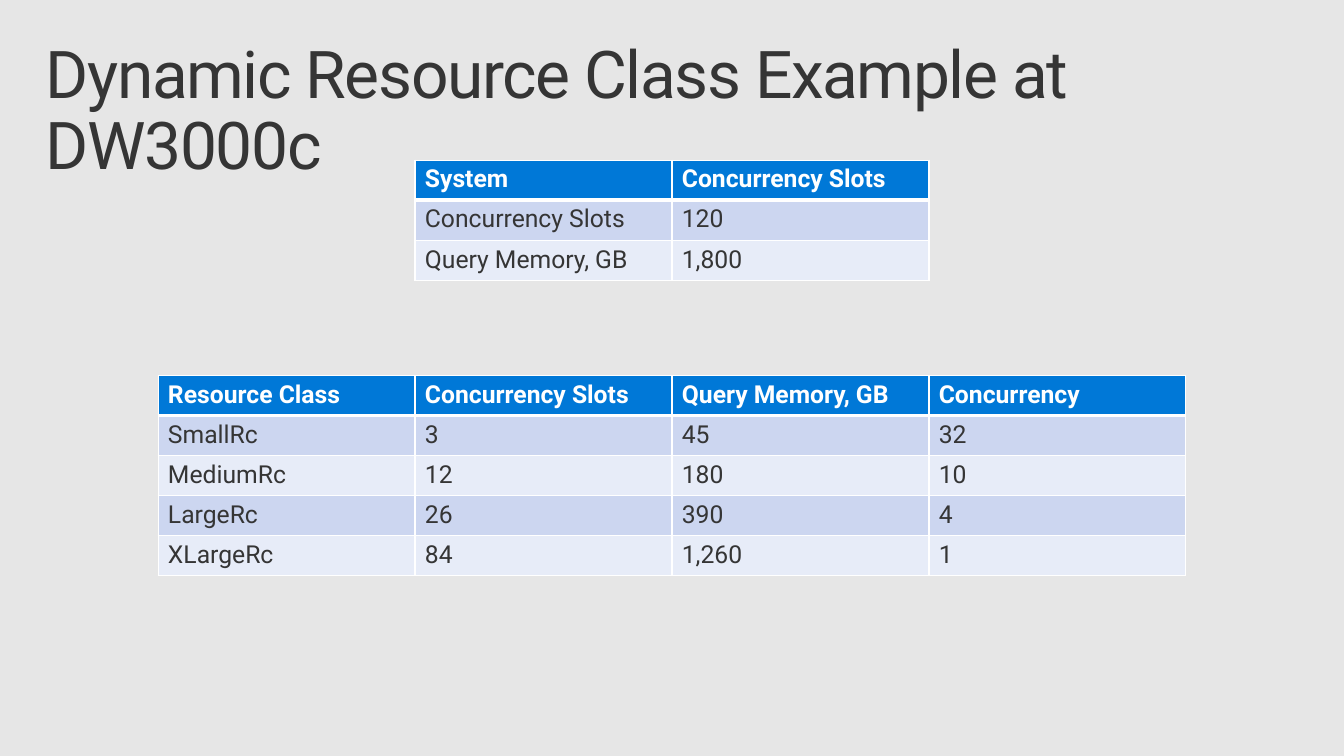
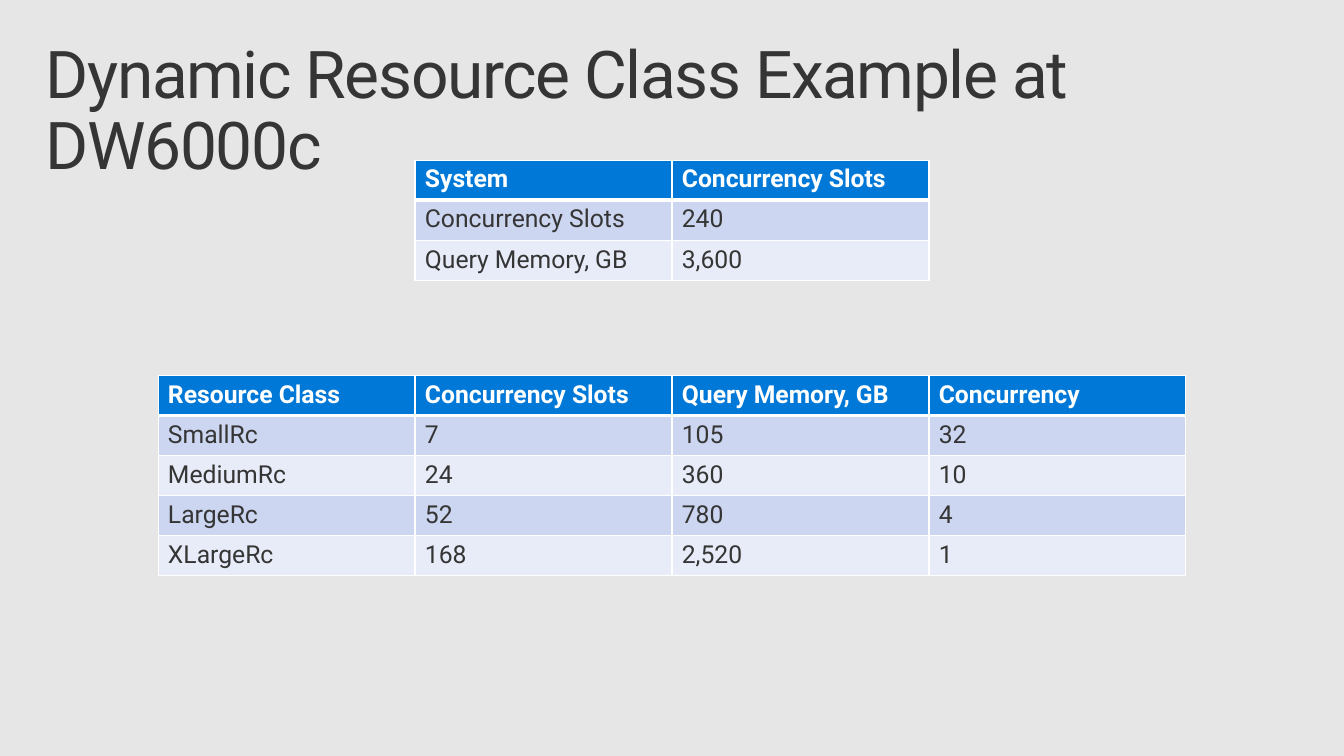
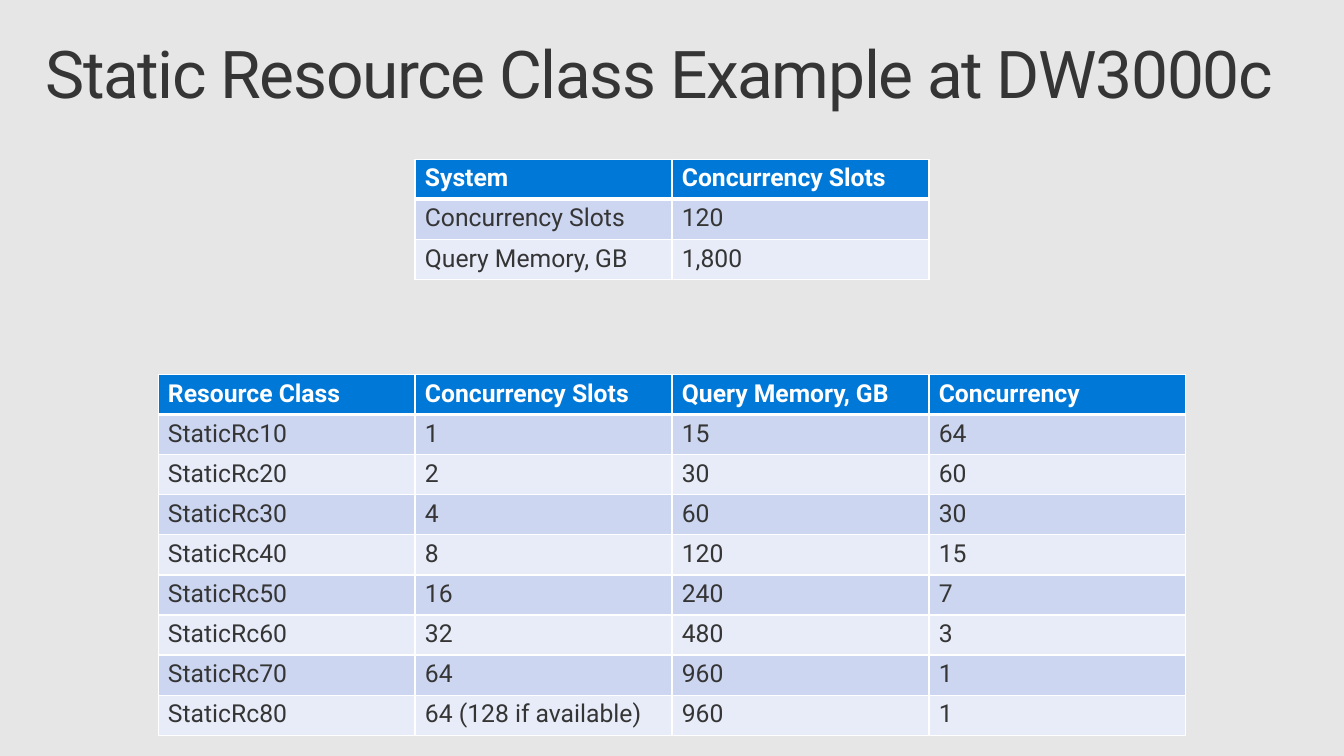
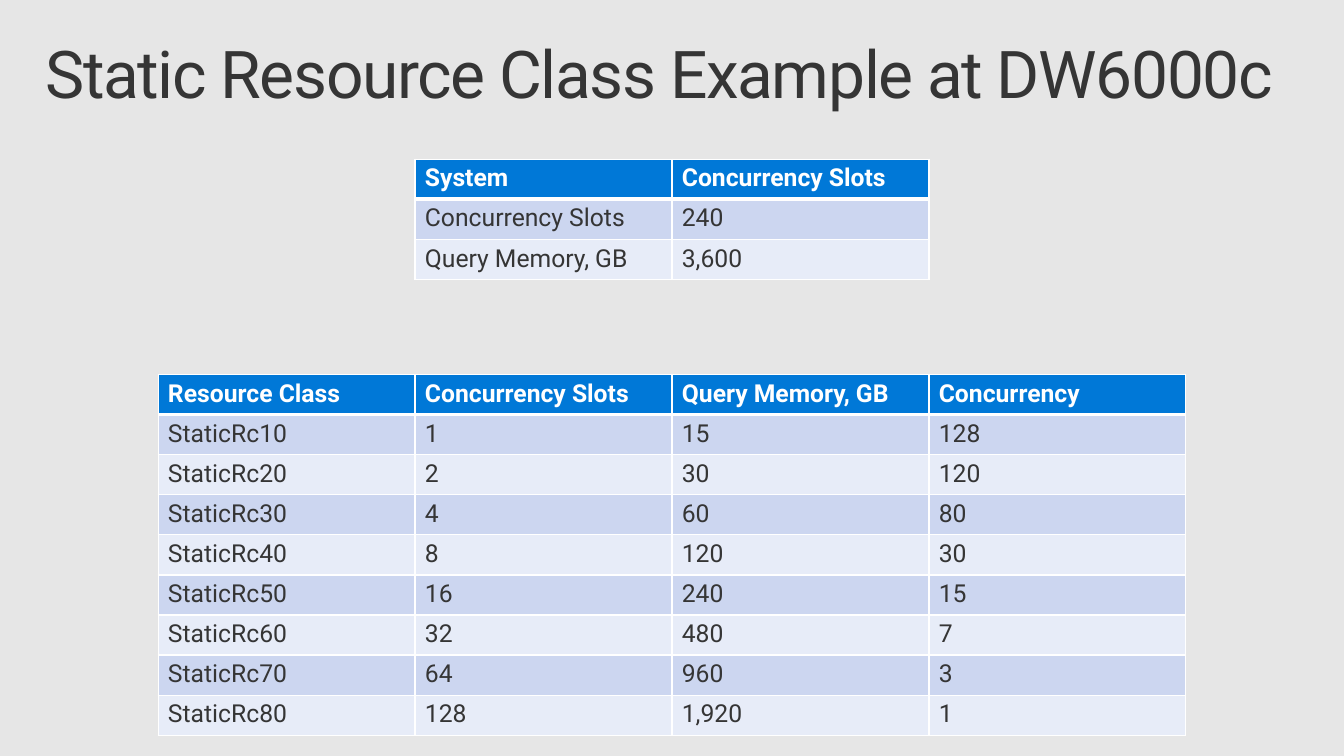
from dataclasses import dataclass

from lxml.etree import SubElement as sub
from pptx import Presentation
from pptx.dml.color import RGBColor as Rgb
from pptx.enum.text import MSO_ANCHOR as Anchor, MSO_AUTO_SIZE as Fit, PP_ALIGN as Align
from pptx.oxml.ns import qn
from pptx.util import Inches, Pt


@dataclass(frozen=True)
class Theme:
    font: str = "Roboto"
    back: str = "E6E6E6"
    ink: str = "353535"
    white: str = "FFFFFF"
    head: str = "0078D7"
    bands: tuple = ("CCD6F0", "E7ECF8")
    title: int = 48
    cell: int = 18
    thin: int = 1
    thick: int = 3


class Deck:
    col = Inches(2.6)
    row = Inches(3.65) // 9

    def __init__(self, theme):
        self.theme = theme
        self.prs = Presentation()
        self.prs.slide_width, self.prs.slide_height = Inches(13.6), Inches(7.65)
        fill = self.prs.slide_master.background.fill
        fill.solid()
        fill.fore_color.rgb = Rgb.from_string(theme.back)
        self.slide = None

    def style(self, par, size, color, bold=False):
        font = par.font
        font.name, font.size, font.bold = self.theme.font, Pt(size), bold
        font.color.rgb = Rgb.from_string(color)

    def add(self, title):
        """Start a slide with its title."""
        self.slide = self.prs.slides.add_slide(self.prs.slide_layouts[5])
        box = self.slide.shapes.title
        box.left, box.top = Inches(0.3), Inches(0.32)
        box.width, box.height = Inches(13), Inches(1)
        frame = box.text_frame
        frame.text = title
        frame.word_wrap, frame.auto_size = True, Fit.NONE
        frame.vertical_anchor = Anchor.TOP
        frame.margin_left = frame.margin_right = Inches(0.16)
        frame.margin_top = frame.margin_bottom = Inches(0.1)
        par = frame.paragraphs[0]
        par.alignment, par.line_spacing = Align.LEFT, 0.9
        self.style(par, self.theme.title, self.theme.ink)
        par._p.pPr.find(qn("a:defRPr")).set("spc", "-100")

    def edges(self, cell, top, bottom):
        """Draw the four borders of a cell."""
        thin = self.theme.thin
        props = cell._tc.get_or_add_tcPr()
        for side, width in zip("LRTB", (thin, thin, top, bottom)):
            line = sub(props, qn(f"a:ln{side}"), w=str(Pt(width)))
            paint = sub(line, qn("a:solidFill"))
            sub(paint, qn("a:srgbClr"), val=self.theme.white)

    def table(self, top, rows):
        """Place a table in the middle of the slide's width."""
        look = self.theme
        count = len(rows[0])
        width = self.col * count
        left = (self.prs.slide_width - width) // 2
        grid = self.slide.shapes.add_table(
            len(rows), count, left, Inches(top), width, self.row * len(rows)).table
        grid.horz_banding = False
        for r, row in enumerate(rows):
            head = r == 0
            shade = look.head if head else look.bands[(r - 1) % 2]
            for c, text in enumerate(row):
                cell = grid.cell(r, c)
                cell.text = str(text)
                self.edges(cell, look.thick if r == 1 else look.thin,
                           look.thick if head else look.thin)
                cell.fill.solid()
                cell.fill.fore_color.rgb = Rgb.from_string(shade)
                self.style(cell.text_frame.paragraphs[0], look.cell,
                           look.white if head else look.ink, head)


# Content
SLOTS, MEMORY = "Concurrency Slots", "Query Memory, GB"
HEAD = ("Resource Class", SLOTS, MEMORY, "Concurrency")
DYNAMIC = ("SmallRc", "MediumRc", "LargeRc", "XLargeRc")
STATIC = tuple(f"StaticRc{n}" for n in range(10, 90, 10))
SYSTEM = {"DW3000c": (120, "1,800"), "DW6000c": (240, "3,600")}

# Kind, level, top of the system table, classes, slots, memory, concurrency
SLIDES = (
    ("Dynamic", "DW3000c", 1.62, DYNAMIC,
     (3, 12, 26, 84), (45, 180, 390, "1,260"), (32, 10, 4, 1)),
    ("Dynamic", "DW6000c", 1.62, DYNAMIC,
     (7, 24, 52, 168), (105, 360, 780, "2,520"), (32, 10, 4, 1)),
    ("Static", "DW3000c", 1.61, STATIC,
     (1, 2, 4, 8, 16, 32, 64, "64 (128 if available)"),
     (15, 30, 60, 120, 240, 480, 960, 960),
     (64, 60, 30, 15, 7, 3, 1, 1)),
    ("Static", "DW6000c", 1.61, STATIC,
     (1, 2, 4, 8, 16, 32, 64, 128),
     (15, 30, 60, 120, 240, 480, 960, "1,920"),
     (128, 120, 80, 30, 15, 7, 3, 1)),
)


def main():
    deck = Deck(Theme())
    for kind, level, top, *cols in SLIDES:
        deck.add(f"{kind} Resource Class Example at {level}")
        # Resource classes
        deck.table(top + 2.18, [HEAD, *zip(*cols)])
        # System totals
        slots, memory = SYSTEM[level]
        deck.table(top, [("System", SLOTS), (SLOTS, slots), (MEMORY, memory)])
    deck.prs.save("out.pptx")


if __name__ == "__main__":
    main()
